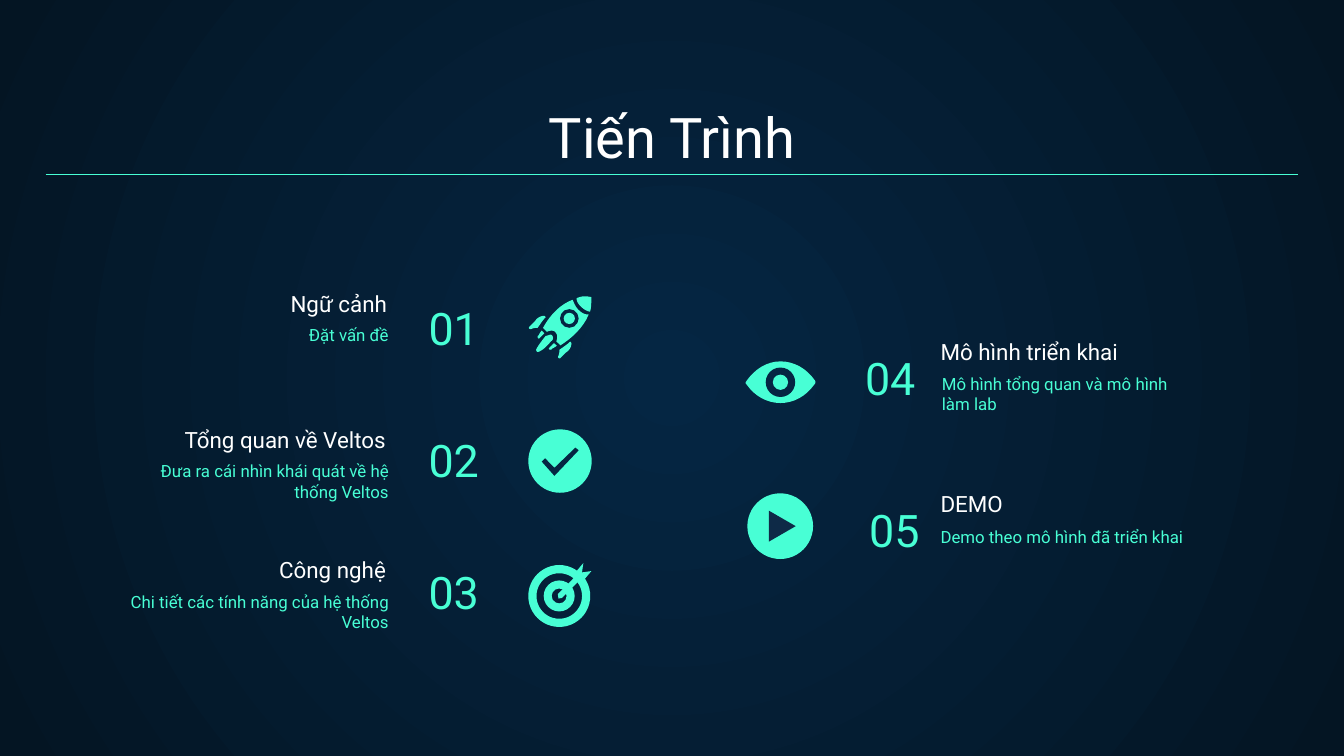
from lxml import etree
from pptx import Presentation
from pptx.dml.color import RGBColor
from pptx.enum.shapes import MSO_CONNECTOR, MSO_SHAPE
from pptx.enum.text import MSO_ANCHOR, MSO_AUTO_SIZE, PP_ALIGN
from pptx.oxml.ns import qn
from pptx.util import Pt

OVAL, DONUT = MSO_SHAPE.OVAL, MSO_SHAPE.DONUT
LEFT, CENTER, RIGHT = PP_ALIGN.LEFT, PP_ALIGN.CENTER, PP_ALIGN.RIGHT
TOP, BOTTOM = MSO_ANCHOR.TOP, MSO_ANCHOR.BOTTOM
FONT = "Roboto"
WHITE, MINT, NAVY, EDGE, PLAY = "FFFFFF", "48FFD5", "052643", "041523", "0E2A47"

# Number, heading box, heading, description box, description; boxes in points
LEFT_ITEMS = [
    ("01", (222.5, 149.8), (51.8, 153.4, 162.7, 23.8), "Ngữ cảnh",
     (56.9, 167), "Đặt vấn đề"),
    ("02", (222.5, 220.3), (52.6, 221, 161.3, 28.8), "Tổng quan về Veltos",
     (56.9, 239.8), "Đưa ra cái nhìn khái quát về hệ thống Veltos"),
    ("03", (222.5, 290.9), (49.7, 293.8, 164.2, 25.9), "Công nghệ",
     (56.9, 309.6), "Chi tiết các tính năng của hệ thống Veltos"),
]
RIGHT_ITEMS = [
    ("04", (404.6, 176.4), (496.8, 181.4, 163.4, 21.6), "Mô hình triển khai",
     (497.5, 193), "Mô hình tổng quan và mô hình làm lab"),
    ("05", (406.8, 257.8), (496.8, 262.1, 164.2, 22.3), "DEMO",
     (496.8, 275), "Demo theo mô hình đã triển khai"),
]

# Rocket outlines: pairs are corners, sixes are Bezier curves
ROCKET_BODY = [
    (23.8, 2.2), (18, 4.3, 12.2, 9.4, 7.9, 17.3), (10.1, 19.4),
    (10.8, 18.7, 13.7, 18.4, 14.4, 19.4), (15.8, 20.9, 15.8, 22.3, 15.1, 24.5),
    (17.3, 26.6), (23, 23, 29.5, 17.3, 32.4, 10.1),
    (30.2, 10.1, 28.8, 9.4, 26.6, 7.2), (25.2, 5.8, 24.5, 3.6, 23.8, 2.2)]
ROCKET_NOSE = [
    (25.9, 1.4), (25.9, 2.9, 26.6, 4.3, 28.1, 5.8),
    (29.5, 7.2, 31.7, 8.6, 33.1, 8.6), (33.8, 6.5, 33.8, 3.6, 33.8, 1.4),
    (33.8, 0.7, 33.8, 0.7, 33.1, 0.7), (30.2, 0, 28, 0.5, 25.9, 1.4)]
ROCKET_FIN = [
    (8.6, 10.8), (7.2, 10.8, 5, 11.5, 3.6, 13.7), (0.7, 16.6),
    (0, 17.3, 0.4, 18, 1.4, 18), (2.9, 17.3, 3.6, 17.3, 5, 17.3),
    (6.5, 15.1, 7.9, 13, 9.4, 11.5)]
ROCKET_SPARK = [
    (7.2, 18.7), (5.8, 20.2, 5.8, 21.6, 5, 21.6), (5, 22.3, 5, 23, 5.8, 23),
    (6.5, 22.3, 7.2, 21.6, 7.9, 20.9), (8.6, 20.2)]
ROCKET_FLAME = [
    (12.2, 20.9), (11.5, 20.9, 10.1, 21.6, 9.4, 21.6),
    (6.5, 25.2, 5, 27.4, 4.3, 28.8), (4.3, 29.5, 4.3, 30.2, 5.4, 30.2),
    (7.2, 29.5, 9.4, 28, 12.2, 24.5), (13.7, 23.8, 13.7, 21.6, 12.2, 20.9)]
EYE = [(0, 11.2), (4.8, 4, 11.6, 0, 18.7, 0), (25.9, 0, 32.4, 3.6, 37, 10),
       (37.6, 10.8, 37.6, 11.5, 37, 12.2), (32.4, 18.7, 25.9, 22.3, 18.7, 22.3),
       (11.5, 22.3, 5, 18.7, 0.4, 12.2), (0, 11.7, 0, 11.6, 0, 11.2)]
TICK = [(7.2, 16.9), (9, 15.1), (14, 20.2), (25.2, 9.4), (27, 10.8), (14, 24.5)]
DART = [(15.8, 16.6), (24.5, 7.9), (25.9, 4.3), (29.5, 0), (28.8, 5), (33.8, 4.3),
        (30.2, 8.6), (26.6, 10.1), (18, 18.7), (16.2, 19)]
TRIANGLE = [(0, 0), (0, 16.6), (14.4, 8.3)]


def rgb(value):
    return RGBColor.from_string(value)


def paint(shape, color):
    shape.shadow.inherit = False
    shape.fill.solid()
    shape.fill.fore_color.rgb = rgb(color)
    shape.line.fill.background()


def set_text(shape, text, size, color, align, anchor):
    tf = shape.text_frame
    tf.word_wrap = True
    tf.auto_size = MSO_AUTO_SIZE.NONE
    tf.vertical_anchor = anchor
    tf.margin_left = tf.margin_right = tf.margin_top = tf.margin_bottom = Pt(7.2)
    p = tf.paragraphs[0]
    p.alignment = align
    r = p.add_run()
    r.text = text
    r.font.name, r.font.size = FONT, Pt(size)
    r.font.color.rgb = rgb(color)


def add_text(s, box, *style):
    set_text(s.shapes.add_textbox(*map(Pt, box)), *style)


def add_round(s, cx, cy, radius, color, hole=0):
    """Draw a disc, or a ring when a hole radius is given."""
    box = (cx - radius, cy - radius, 2 * radius, 2 * radius)
    sp = s.shapes.add_shape(DONUT if hole else OVAL, *map(Pt, box))
    if hole:
        sp.adjustments[0] = (radius - hole) / (2 * radius)
    paint(sp, color)


def flatten(outline, steps=8):
    """Turn corners and Bezier curves into a list of points."""
    points = []
    for seg in outline:
        if len(seg) == 2:
            points.append(seg)
            continue
        ctrl = [points[-1], seg[:2], seg[2:4], seg[4:]]
        for i in range(1, steps + 1):
            t = i / steps
            weights = ((1 - t) ** 3, 3 * t * (1 - t) ** 2, 3 * t * t * (1 - t), t ** 3)
            points.append(tuple(sum(w * c[k] for w, c in zip(weights, ctrl))
                                for k in (0, 1)))
    return points


def add_outline(s, x, y, outline, color, mirror=False):
    points = flatten(outline)
    if mirror:  # across the rocket's axis
        points = [(34 - b, 34 - a) for a, b in points]
    points = [(Pt(x + a), Pt(y + b)) for a, b in points]
    builder = s.shapes.build_freeform(*points[0])
    builder.add_line_segments(points[1:], close=True)
    paint(builder.convert_to_shape(), color)


def add_background(s):
    fill = s.background.fill
    fill.gradient()
    for stop, color in zip(fill.gradient_stops, (NAVY, EDGE)):
        stop.color.rgb = rgb(color)
    grad = next(s._element.iter(qn("a:gradFill")))
    grad.remove(grad.find(qn("a:lin")))
    circle = etree.SubElement(grad, qn("a:path"), {"path": "circle"})
    etree.SubElement(circle, qn("a:fillToRect"), {k: "50000" for k in "ltrb"})


def add_title(s, text):
    sp = s.shapes.title
    sp.left, sp.top, sp.width, sp.height = map(Pt, (24.5, 50.4, 671, 47.5))
    set_text(sp, text, 30, WHITE, CENTER, BOTTOM)
    line = s.shapes.add_connector(MSO_CONNECTOR.STRAIGHT,
                                  Pt(24.5), Pt(93.6), Pt(695.5), Pt(93.6))
    line.line.color.rgb = rgb(MINT)
    line.line.width = Pt(0.75)
    etree.SubElement(line._element.spPr, qn("a:effectLst"))


def add_items(s, items, text_align, number_align, width):
    for number, at, heading_box, heading, text_at, text in items:
        add_text(s, (*text_at, width, 39.6), text, 9, MINT, text_align, TOP)
        add_text(s, (*at, 92.9, 47.5), number, 24, MINT, number_align, BOTTOM)
        add_text(s, heading_box, heading, 12, WHITE, text_align, BOTTOM)


def add_icons(s):
    # Rocket
    x, y = 283, 158.4
    for outline in (ROCKET_BODY, ROCKET_NOSE, ROCKET_FLAME):
        add_outline(s, x, y, outline, MINT)
    for outline in (ROCKET_FIN, ROCKET_SPARK):
        for mirror in (False, True):
            add_outline(s, x, y, outline, MINT, mirror)
    add_round(s, x + 22, y + 12.2, 5, NAVY)
    add_round(s, x + 22, y + 12.2, 3, MINT)
    # Check mark
    add_round(s, 300, 247, 17, MINT)
    add_outline(s, 283, 230.4, TICK, NAVY)
    # Target
    add_round(s, 299.6, 319.3, 16.6, MINT, hole=12.2)
    add_round(s, 299.6, 319.3, 8.3, MINT, hole=4)
    add_outline(s, 283, 301.7, DART, MINT)
    # Eye
    add_outline(s, 399.4, 193.6, EYE, MINT)
    add_round(s, 418.1, 204.8, 7.9, NAVY)
    add_round(s, 418.1, 204.8, 4.1, MINT)
    # Play button
    add_round(s, 418, 281.9, 17.6, MINT)
    add_outline(s, 411.9, 273.6, TRIANGLE, PLAY)


def main():
    prs = Presentation()
    prs.slide_width, prs.slide_height = Pt(720), Pt(405)
    s = prs.slides.add_slide(prs.slide_layouts[5])
    add_background(s)
    add_title(s, "Tiến Trình")
    add_items(s, LEFT_ITEMS, RIGHT, LEFT, 158.4)
    add_items(s, RIGHT_ITEMS, LEFT, RIGHT, 149)
    add_icons(s)
    prs.save("out.pptx")


if __name__ == "__main__":
    main()
